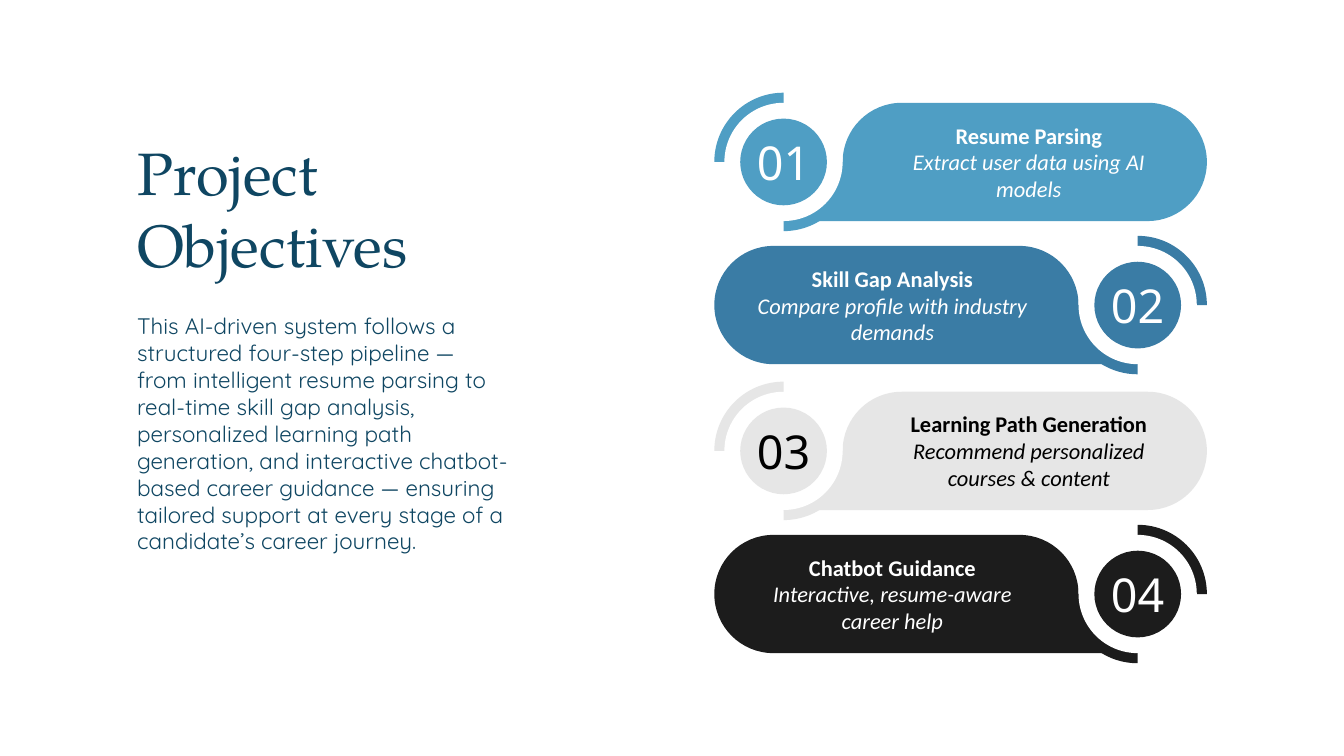
from dataclasses import dataclass

from lxml import etree
from pptx import Presentation
from pptx.dml.color import RGBColor as RGB
from pptx.enum.lang import MSO_LANGUAGE_ID as LANG
from pptx.enum.shapes import MSO_SHAPE as SHAPE
from pptx.enum.text import MSO_ANCHOR as ANCHOR, PP_ALIGN as ALIGN
from pptx.oxml.ns import qn
from pptx.util import Inches, Pt


@dataclass(frozen=True)
class Theme:
    ink: str = "0F4662"
    white: str = "FFFFFF"
    black: str = "000000"
    sky: str = "4F9EC4"
    blue: str = "3A7CA5"
    grey: str = "E6E6E6"
    dark: str = "1C1C1C"
    title_font: str = "TeX Gyre Pagella"
    body_font: str = "Quicksand"
    label_font: str = "Calibri"
    number_font: str = "Noto Sans"
    title_size: int = 64
    number_size: int = 50
    text_size: int = 24


T = Theme()


def quarter(start, corner, end):
    """Bezier points of a quarter circle whose tangents meet at the corner."""
    k = 0.5523
    c1, c2 = [tuple(a + k * (b - a) for a, b in zip(point, corner)) for point in (start, end)]
    return [c1, c2, end]


def write(sp, runs, font, size, color, insets, align=ALIGN.LEFT, anchor=ANCHOR.MIDDLE, wrap=True):
    """Fill a shape with one paragraph; runs are (text, bold, italic), one per line."""
    tf = sp.text_frame
    tf.word_wrap = wrap
    tf.vertical_anchor = anchor
    tf.margin_left, tf.margin_top, tf.margin_right, tf.margin_bottom = map(Inches, insets)
    p = tf.paragraphs[0]
    p.alignment = align
    for i, (text, bold, italic) in enumerate(runs):
        if i:
            p.add_line_break()
        r = p.add_run()
        r.text = text
        r.font.name, r.font.size = font, Pt(size)
        r.font.bold, r.font.italic = bold, italic
        r.font.language_id = LANG.ENGLISH_US
        r.font.color.rgb = RGB.from_string(color)


prs = Presentation()
prs.slide_width, prs.slide_height = Inches(20), Inches(11.25)
s = prs.slides.add_slide(prs.slide_layouts[6])

# Objectives: heading, detail, fill, text colour, dial centre height
objectives = [
    ("Resume Parsing", "Extract user data using AI models", T.sky, T.white, 2.41),
    ("Skill Gap Analysis", "Compare profile with industry demands", T.blue, T.white, 4.54),
    ("Learning Path Generation", "Recommend personalized courses & content", T.grey, T.black, 6.71),
    ("Chatbot Guidance", "Interactive, resume-aware career help", T.dark, T.white, 8.84),
]
RING, GAP, DOT = 1.03, 0.88, 0.645  # dial radii, outside to inside
END = 5.42  # centre of the pill's round end
TIP = END + GAP

# Outlines around the dial centre, pill to the right: segments of one point
# are lines, of three points curves
pill = [
    [(2 * GAP, -GAP)],
    quarter((2 * GAP, -GAP), (GAP, -GAP), (GAP, 0)),
    quarter((GAP, 0), (GAP, GAP), (0, GAP)),
    [(END, GAP)],
    quarter((END, GAP), (TIP, GAP), (TIP, 0)),
    quarter((TIP, 0), (TIP, -GAP), (END, -GAP)),
]
upper_wedge = [[(0, -RING)], quarter((0, -RING), (-RING, -RING), (-RING, 0)), [(0, 0)]]
lower_wedge = [[(0, RING)], quarter((0, RING), (RING, RING), (RING, 0)), [(0, 0)]]

for i, (heading, detail, fill, color, cy) in enumerate(objectives):
    # Every second row is mirrored
    cx, side = (11.66, 1) if i % 2 == 0 else (16.93, -1)
    group = s.shapes.add_group_shape().shapes
    parts = []

    # Pill and the two ring quarters
    for outline in (pill, upper_wedge, lower_wedge):
        points = [(Inches(cx + side * x), Inches(cy + y)) for seg in outline for x, y in seg]
        builder = group.build_freeform(*points[0])
        builder.add_line_segments(points[1:])
        sp = builder.convert_to_shape()
        # Turn the lines of each three-point segment into one curve
        lines = iter(list(sp._element.iter(qn("a:lnTo"))))
        for seg in outline[1:]:
            steps = [next(lines) for _ in seg]
            if len(steps) == 3:
                curve = etree.Element(qn("a:cubicBezTo"))
                steps[0].addprevious(curve)
                for step in steps:
                    curve.append(step[0])
                    step.getparent().remove(step)
        parts.append((sp, fill))

    # White gap and number dot
    for radius, disc_fill in ((GAP, T.white), (DOT, fill)):
        disc = group.add_shape(SHAPE.OVAL, Inches(cx - radius), Inches(cy - radius),
                               Inches(2 * radius), Inches(2 * radius))
        parts.append((disc, disc_fill))

    for sp, part_fill in parts:
        sp.shadow.inherit = False
        sp.fill.solid()
        sp.fill.fore_color.rgb = RGB.from_string(part_fill)
        sp.line.fill.background()

    insets = (1.6, 0.2, 0.6, 0.2) if side == 1 else (0.6, 0.2, 1.6, 0.2)
    write(parts[0][0], [(heading, True, False), (detail, False, True)],
          T.label_font, T.text_size, color, insets, ALIGN.CENTER)
    write(parts[-1][0], [(f"{i + 1:02}", False, False)],
          T.number_font, T.number_size, color, (0, 0, 0, 0), ALIGN.CENTER, wrap=False)

# Title
title = s.shapes.add_textbox(Inches(1.84), Inches(2.16), Inches(5.43), Inches(1.86))
write(title, [("Project Objectives", False, False)],
      T.title_font, T.title_size, T.ink, (0.2, 0.2, 0.2, 0.2))

# Summary
summary = s.shapes.add_textbox(Inches(1.84), Inches(4.45), Inches(5.95), Inches(5.03))
write(summary, [("This AI-driven system follows a structured four-step pipeline — from "
                 "intelligent resume parsing to real-time skill gap analysis, personalized "
                 "learning path generation, and interactive chatbot-based career guidance — "
                 "ensuring tailored support at every stage of a candidate’s career journey.",
                 False, False)],
      T.body_font, T.text_size, T.ink, (0.2, 0.2, 0.2, 0.2), anchor=ANCHOR.TOP)

prs.save("out.pptx")
